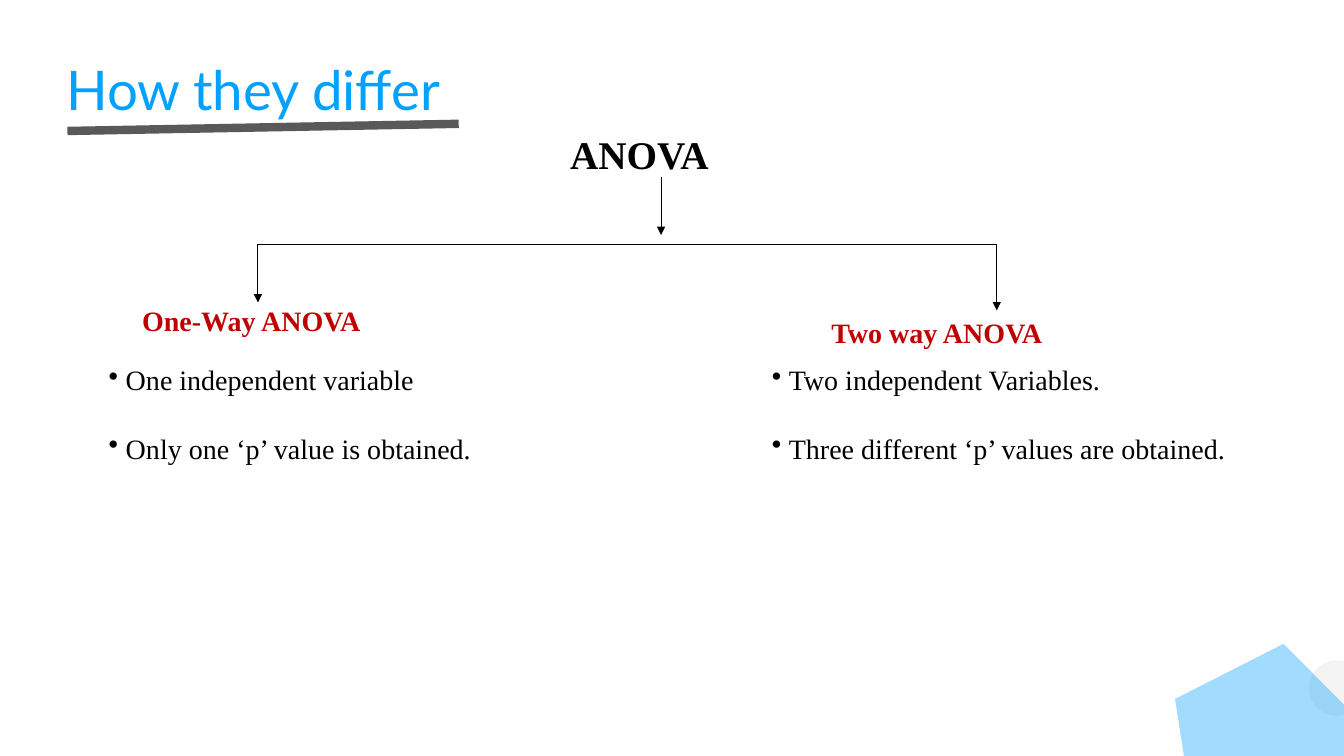
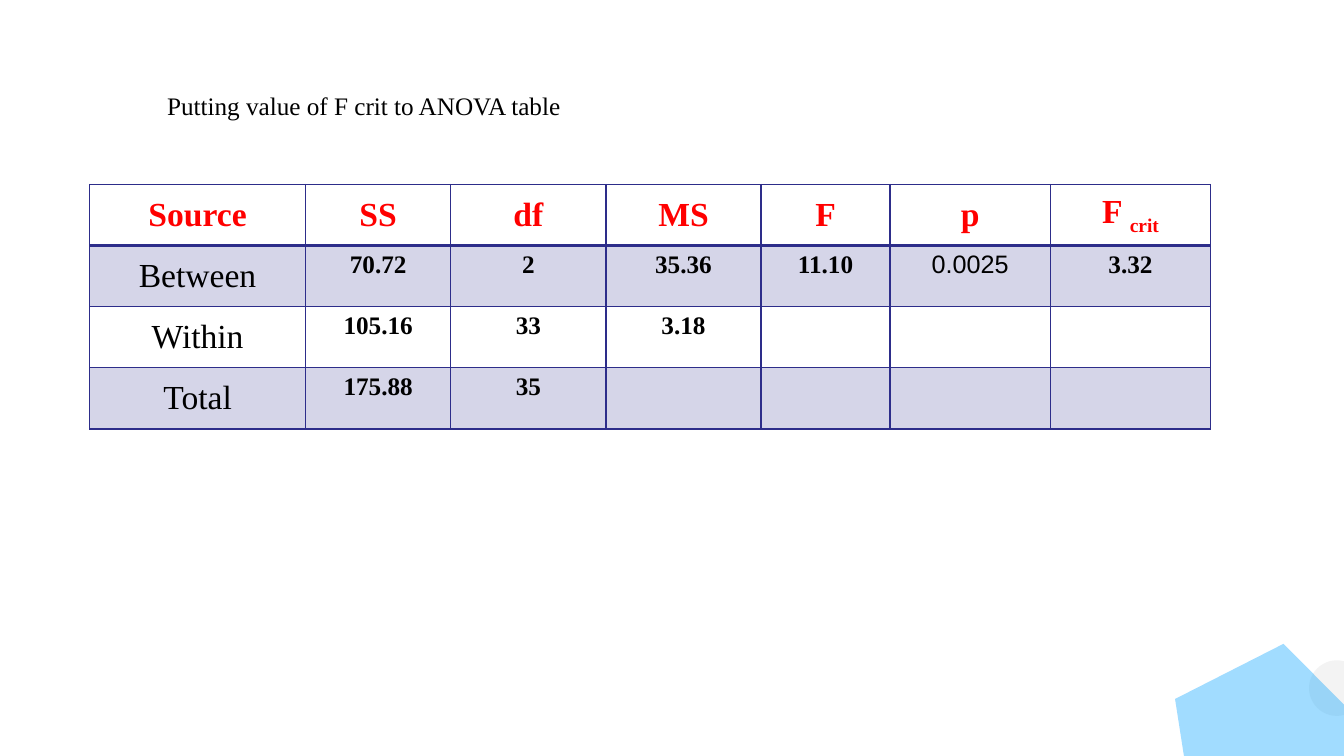
from dataclasses import dataclass
from lxml import etree
from pptx import Presentation
from pptx.dml.color import RGBColor
from pptx.enum.shapes import MSO_CONNECTOR, MSO_SHAPE
from pptx.enum.text import MSO_ANCHOR, PP_ALIGN
from pptx.oxml.ns import qn
from pptx.util import Cm, Pt

LINE = MSO_CONNECTOR.STRAIGHT
OVAL = MSO_SHAPE.OVAL
PENTAGON = MSO_SHAPE.REGULAR_PENTAGON
TOP = MSO_ANCHOR.TOP
MIDDLE = MSO_ANCHOR.MIDDLE
CENTER = PP_ALIGN.CENTER


@dataclass(frozen=True)
class Theme:
    sky: str = "00A1FF"
    pale: str = "F3F3F3"
    grey: str = "595959"
    black: str = "000000"
    dark_red: str = "C00000"
    red: str = "FF0000"
    navy: str = "2D2D8A"
    band: str = "D5D5E8"
    serif: str = "Times New Roman"
    sans: str = "Arial"
    display: str = "Lato"
    title: int = 39
    root: int = 28
    head: int = 24
    body: int = 20
    small: int = 18


T = Theme()


def style(para, size, color=T.black, bold=False, name=T.serif):
    font = para.font
    font.name, font.size, font.bold = name, Pt(size), bold
    font.color.rgb = RGBColor.from_string(color)


def add_box(slide, left, top, width, height, anchor=TOP):
    box = slide.shapes.add_textbox(Cm(left), Cm(top), Cm(width), Cm(height))
    frame = box.text_frame
    frame.word_wrap = True
    frame.vertical_anchor = anchor
    return frame


def add_label(slide, text, place, size, color=T.black, bold=False):
    para = add_box(slide, *place).paragraphs[0]
    para.text = text
    style(para, size, color, bold)


def add_title(slide, text):
    para = add_box(slide, 1.42, 1.07, 29.64, 2.34, MIDDLE).paragraphs[0]
    para.text = text
    style(para, T.title, T.sky, name=T.display)


def add_list(slide, items, place):
    frame = add_box(slide, *place)
    for index, item in enumerate(items):
        para = frame.add_paragraph() if index else frame.paragraphs[0]
        para.text = item
        if index:
            para.space_before = Pt(25)
        props = para._p.get_or_add_pPr()
        props.set("marL", str(Cm(0.43)))
        props.set("indent", str(-Cm(0.43)))
        etree.SubElement(props, qn("a:buChar"), char="•")
        style(para, T.body)


def add_line(slide, start, end, color=T.black, width=0.75, arrow=False):
    ends = [Cm(value) for value in (*start, *end)]
    line = slide.shapes.add_connector(LINE, *ends)
    line.line.color.rgb = RGBColor.from_string(color)
    line.line.width = Pt(width)
    props = line._element.spPr
    if arrow:
        etree.SubElement(props.find(qn("a:ln")), qn("a:tailEnd"), type="triangle")
    etree.SubElement(props, qn("a:effectLst"))


def add_shape(slide, kind, place, color, turn=0, alpha=100):
    shape = slide.shapes.add_shape(kind, *[Cm(value) for value in place])
    shape.shadow.inherit = False
    shape.rotation = turn
    shape.fill.solid()
    shape.fill.fore_color.rgb = RGBColor.from_string(color)
    shape.line.fill.background()
    if alpha < 100:
        tint = shape._element.spPr.find(qn("a:solidFill"))[0]
        etree.SubElement(tint, qn("a:alpha"), val=str(alpha * 1000))


def add_corner(slide):
    add_shape(slide, OVAL, (32.99, 16.64, 1.4, 1.4), T.pale)
    add_shape(slide, PENTAGON, (29.69, 16.41, 4.98, 4.72), T.sky, 81.1, 37)


def add_edge(cell, side, width):
    edge = etree.SubElement(cell._tc.get_or_add_tcPr(), qn("a:ln" + side), w=str(Pt(width)))
    fill = etree.SubElement(edge, qn("a:solidFill"))
    etree.SubElement(fill, qn("a:srgbClr"), val=T.navy)


def fill_cell(cell, text, row, col):
    heavy = {0: "B", 1: "T"}.get(row)
    for side in "LRTB":
        add_edge(cell, side, 2 if side == heavy else 1)
    if row % 2:
        cell.fill.solid()
        cell.fill.fore_color.rgb = RGBColor.from_string(T.band)
    else:
        cell.fill.background()
    cell.vertical_anchor = MIDDLE if row == 0 or col == 0 else TOP
    para = cell.text_frame.paragraphs[0]
    para.alignment = CENTER
    main, _, low = text.partition("_")
    para.text = main
    if low:
        run = para.add_run()
        run.text = low
        run._r.get_or_add_rPr().set("baseline", "-25000")
    if row == 0:
        style(para, T.head, T.red, True)
    elif col == 0:
        style(para, T.head)
    elif col == 5:
        style(para, T.small, name=T.sans)
    else:
        style(para, T.small, bold=True)


def add_grid(slide, rows, widths, left, top, height):
    frame = slide.shapes.add_table(
        len(rows), len(widths), Cm(left), Cm(top), Cm(sum(widths)), Cm(height * len(rows))
    )
    table = frame.table
    table.first_row = table.horz_banding = False
    for column, width in zip(table.columns, widths):
        column.width = Cm(width)
    for row, texts in enumerate(rows):
        table.rows[row].height = Cm(height)
        for col, text in enumerate(texts):
            fill_cell(table.cell(row, col), text, row, col)


def draw_split(slide):
    add_title(slide, "How they differ")
    add_label(slide, "ANOVA", (14.12, 3.15, 5.44, 1.45), T.root, bold=True)
    stem, left, right, bar = 16.66, 6.5, 25.12, 6.15
    add_line(slide, (left, bar), (right, bar))
    for x, top, end in ((stem, 4.45, 5.92), (left, bar, 7.62), (right, bar, 7.82)):
        add_line(slide, (x, top), (x, end), arrow=True)
    add_label(slide, "One-Way ANOVA", (3.33, 7.52, 8.08, 1.12), T.body, T.dark_red, True)
    add_label(slide, "Two way ANOVA", (20.7, 7.82, 7.85, 1.12), T.body, T.dark_red, True)
    one = ("One independent variable", "Only one ‘p’ value is obtained.")
    two = ("Two independent Variables.", "Three different ‘p’ values are obtained.")
    for items, x in ((one, 2.49), (two, 19.2)):
        add_list(slide, items, (x, 9.02, 12.95, 2.82))
    add_corner(slide)
    add_line(slide, (1.7, 3.3), (11.56, 3.12), T.grey, 6)


def draw_table(slide):
    rows = (
        ("Source", "SS", "df", "MS", "F", "p", "F _crit"),
        ("Between", "70.72", "2", "35.36", "11.10", "0.0025", "3.32"),
        ("Within", "105.16", "33", "3.18", "", "", ""),
        ("Total", "175.88", "35", "", "", "", ""),
    )
    widths = (5.44, 3.66, 3.91, 3.91, 3.25, 4.04, 4.04)
    add_grid(slide, rows, widths, 2.26, 4.65, 1.54)
    add_label(slide, "Putting value of F crit to ANOVA table", (3.96, 2.16, 19.76, 1.02), T.small)
    add_corner(slide)


def main():
    deck = Presentation()
    deck.slide_width, deck.slide_height = Cm(33.87), Cm(19.05)
    for draw in (draw_split, draw_table):
        draw(deck.slides.add_slide(deck.slide_layouts[6]))
    deck.save("out.pptx")


if __name__ == "__main__":
    main()
